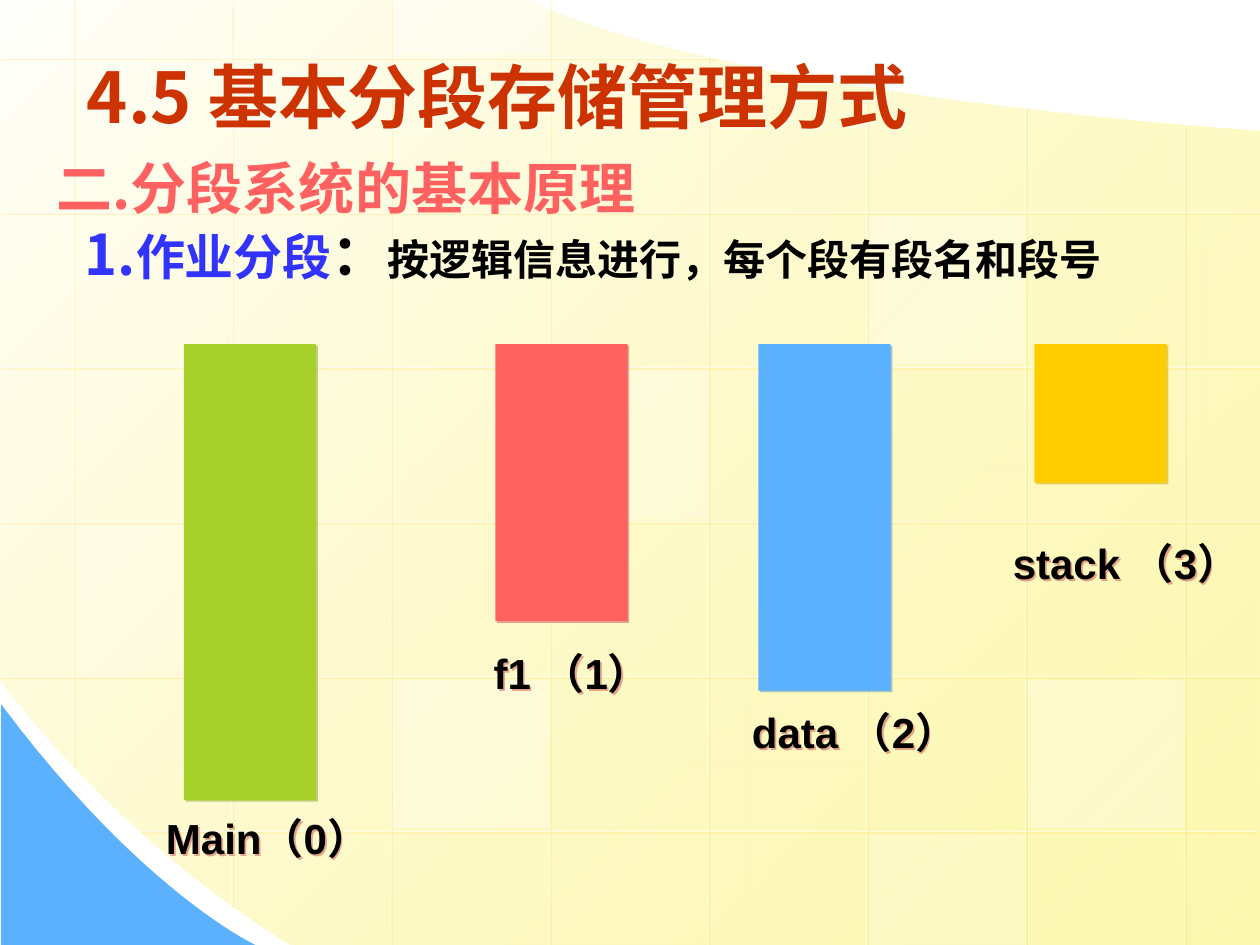
from lxml.etree import SubElement
from pptx import Presentation
from pptx.dml.color import RGBColor
from pptx.enum.shapes import MSO_CONNECTOR, MSO_SHAPE
from pptx.enum.text import MSO_ANCHOR, MSO_AUTO_SIZE, PP_ALIGN
from pptx.oxml.ns import qn
from pptx.util import Pt

WIDE, HIGH = 720, 540
LEFT, TOP = 41.8, 33.1
STEP_X, STEP_Y = 90.7, 88.4
SANS, CJK = "Arial", "Noto Sans CJK SC"
COLS = [(0, 438), (0, 518), (0, 540), (0, 540),
        (31, 540), (49, 540), (61, 540), (71, 540)]
ROWS = [(0, 409), (0, 720), (0, 720), (0, 720), (0, 720), (80, 718)]
TILES = [(3, 2, 25), (6, 4, 30), (0, 3, 20), (5, 5, 20),
         (2, -1, 40), (2, 4, 30), (5, 1, 30)]
BARS = [(591.1, 79.2, "FFCC00", "CCA300"), (105.1, 260.6, "A8D02A", "87A722"),
        (283, 158.4, "FF6161", "CC4E4E"), (433.4, 198, "5CB1FE", "4A8ECB")]
TAGS = [("stack （3）", 571.7, 303.8, 148.3), ("Main（0）", 87.8, 460.8, 141.8),
        ("f1 （1）", 275, 366.5, 124.6), ("data （2）", 422.6, 400.3, 153.4)]


def tint(code):
    """Turn a hex string into a colour."""
    return RGBColor.from_string(code)


def fade(node, share):
    """Give the colours below a node an opacity in percent."""
    for color in node.iter(qn("a:srgbClr")):
        SubElement(color, qn("a:alpha"), val=str(share * 1000))


def drop(shape, code=None, share=50):
    """Set a small lower-right shadow, or none without a colour."""
    box = SubElement(shape._element.spPr, qn("a:effectLst"))
    if code:
        cast = SubElement(box, qn("a:outerShdw"), dist=str(Pt(1.4)),
                          dir="2700000", algn="ctr", rotWithShape="0")
        SubElement(cast, qn("a:srgbClr"), val=code)
        fade(cast, share)


def bend(start, one, two, end, count=24):
    """List the points along a cubic curve after its start."""
    steps = [i / count for i in range(1, count + 1)]
    return [tuple((1 - t) ** 3 * a + 3 * (1 - t) ** 2 * t * b
                  + 3 * (1 - t) * t * t * c + t ** 3 * d
                  for a, b, c, d in zip(start, one, two, end)) for t in steps]


def outline(slide, spots):
    """Draw a closed outline without a border."""
    spots = [(Pt(x), Pt(y)) for x, y in spots]
    pen = slide.shapes.build_freeform(*spots[0])
    pen.add_line_segments(spots[1:], close=True)
    shape = pen.convert_to_shape()
    shape.line.fill.background()
    return shape


def block(slide, x, y, wide, high, code):
    """Draw a filled rectangle without a border."""
    shape = slide.shapes.add_shape(MSO_SHAPE.RECTANGLE, Pt(x), Pt(y), Pt(wide), Pt(high))
    shape.fill.solid()
    shape.fill.fore_color.rgb = tint(code)
    shape.line.fill.background()
    return shape


def rule(slide, x, y, end_x, end_y):
    """Draw a faint grid line."""
    line = slide.shapes.add_connector(MSO_CONNECTOR.STRAIGHT, Pt(x), Pt(y), Pt(end_x), Pt(end_y))
    line.line.color.rgb = tint("FFFFFF")
    line.line.width = Pt(0.75)
    fade(line._element.spPr, 50)
    drop(line, "FFCC00", 34)


def style(run, size, code, face):
    """Format a bold run."""
    font = run.font
    font.size, font.bold, font.name = Pt(size), True, face
    font.color.rgb = tint(code)
    SubElement(run._r.get_or_add_rPr(), qn("a:ea"), typeface=CJK)


def place(slide, shape, x, y, wide, high):
    """Move a placeholder to its spot in front of the backdrop."""
    shape.left, shape.top, shape.width, shape.height = Pt(x), Pt(y), Pt(wide), Pt(high)
    slide.shapes._spTree.append(shape._element)
    shape.text_frame.auto_size = MSO_AUTO_SIZE.NONE


def backdrop(slide):
    """Draw the yellow sheet, blue corner, grid and tiles."""
    sheet = outline(slide, [(WIDE, 75), (WIDE, HIGH), (166, HIGH)]
                    + bend((166, HIGH), (62, 476), (0, 388), (0, 388)) + [(0, 0), (303, 0)]
                    + bend((303, 0), (303, 1), (387, 50), (WIDE, 75)))
    sheet.fill.gradient()
    sheet.fill.gradient_angle = 315
    first, last = sheet.fill.gradient_stops
    first.color.rgb, last.color.rgb = tint("FFFFFB"), tint("FDF58D")
    first.position, last.position = 0, 1
    fade(last._gs, 70)
    drop(sheet)
    corner = outline(slide, [(0.7, 402.5), (0.7, HIGH), (146, HIGH)]
                     + bend((146, HIGH), (146, HIGH), (81, 510), (0.7, 402.5)))
    corner.fill.solid()
    corner.fill.fore_color.rgb = tint("5CB1FE")
    drop(corner)
    for i, (start, end) in enumerate(COLS):
        rule(slide, LEFT + i * STEP_X, start, LEFT + i * STEP_X, end)
    for i, (start, end) in enumerate(ROWS):
        rule(slide, end, TOP + i * STEP_Y, start, TOP + i * STEP_Y)
    for col, row, share in TILES:
        y = max(0, TOP + row * STEP_Y + 1.6)
        base = min(HIGH, TOP + (row + 1) * STEP_Y - 1.8)
        tile = block(slide, LEFT + col * STEP_X + 1.5, y, 88.6, base - y, "FFFFFF")
        fade(tile._element.spPr, share)
        drop(tile)


def heading(slide, shape):
    """Fill the title."""
    place(slide, shape, 42.5, 25.9, 648, 57.6)
    frame = shape.text_frame
    frame.text = "4.5 基本分段存储管理方式"
    frame.vertical_anchor = MSO_ANCHOR.MIDDLE
    frame.paragraphs[0].alignment = PP_ALIGN.LEFT
    style(frame.paragraphs[0].runs[0], 40, "CC3300", CJK)
    drop(shape, "FFFFFF")


def point(para, dent, parts):
    """Fill a body paragraph from its styled parts."""
    props = para._p.get_or_add_pPr()
    props.set("marL", str(Pt(27)))
    props.set("indent", str(Pt(dent)))
    SubElement(props, qn("a:buNone"))
    para.line_spacing = 0.9
    for text, size, code, face in parts:
        run = para.add_run()
        run.text = text
        style(run, size, code, face)


def content(slide, shape):
    """Fill the body."""
    place(slide, shape, 25.2, 88.6, 648, 425.5)
    frame = shape.text_frame
    point(frame.paragraphs[0], -27, [("二.分段系统的基本原理", 32, "FF6161", CJK)])
    frame.paragraphs[0].space_before = Pt(0)
    para = frame.add_paragraph()
    point(para, -11, [("1.", 32, "3333FF", CJK),
                      ("作业分段", 28, "3333FF", SANS),
                      ("：", 32, "000000", SANS),
                      ("按逻辑信息进行，每个段有段名和段号", 24, "000000", SANS)])
    para.space_before = Pt(3)


def label(slide, text, x, y, wide):
    """Add the name and number of a segment."""
    box = slide.shapes.add_textbox(Pt(x), Pt(y), Pt(wide), Pt(36))
    frame = box.text_frame
    frame.word_wrap = True
    frame.auto_size = MSO_AUTO_SIZE.SHAPE_TO_FIT_TEXT
    frame.text = text
    style(frame.paragraphs[0].runs[0], 24, "000000", SANS)
    drop(box, "CC4E4E")


def main():
    """Build the slide on job segments."""
    deck = Presentation()
    deck.slide_width, deck.slide_height = Pt(WIDE), Pt(HIGH)
    slide = deck.slides.add_slide(deck.slide_layouts[1])
    title, body = slide.placeholders
    backdrop(slide)
    heading(slide, title)
    content(slide, body)
    for x, high, code, shade in BARS:
        drop(block(slide, x, 196.6, 75.6, high, code), shade)
    for tag in TAGS:
        label(slide, *tag)
    deck.save("out.pptx")


if __name__ == "__main__":
    main()
